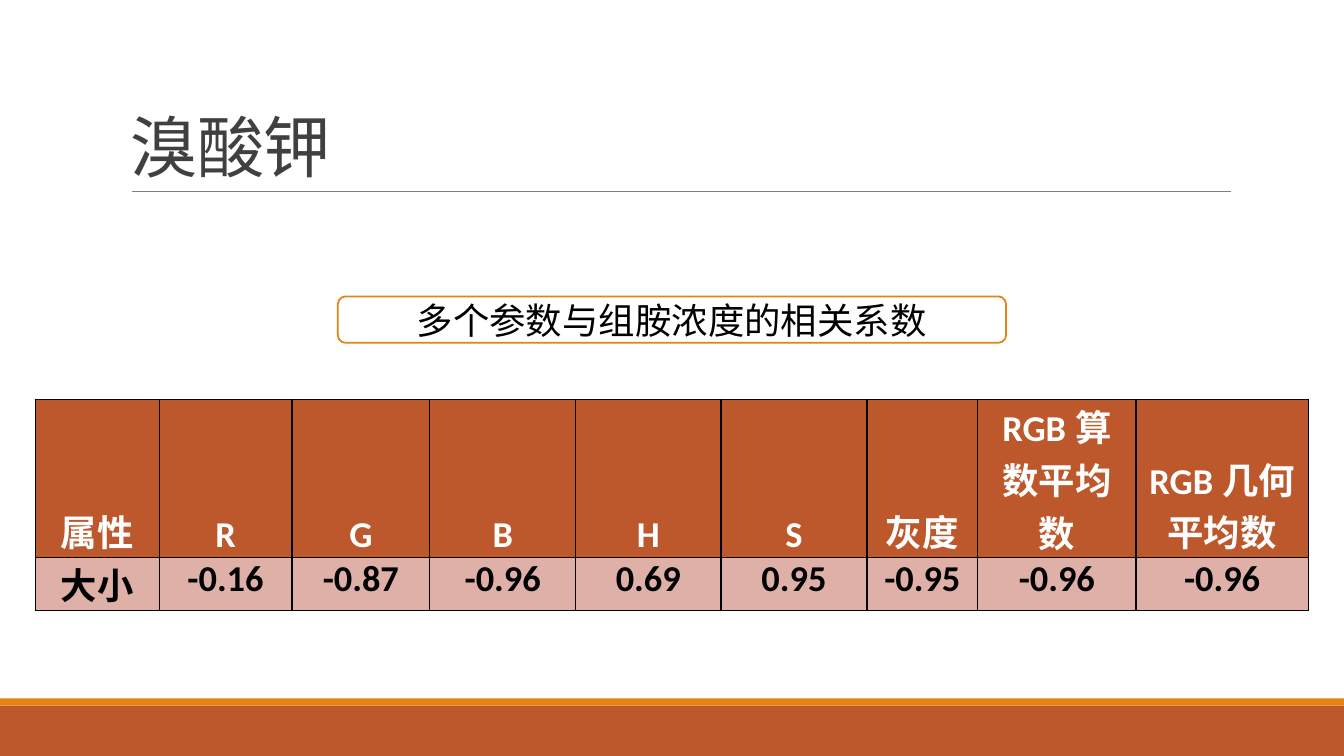
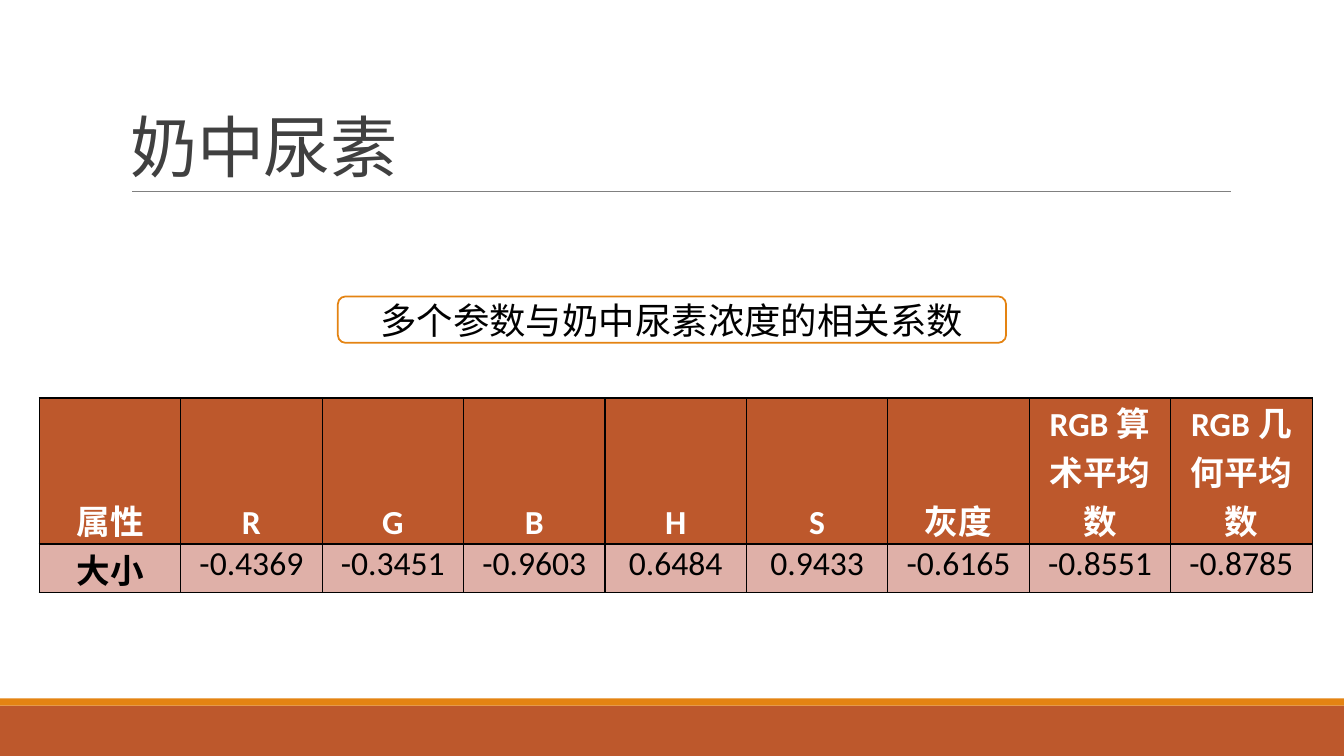
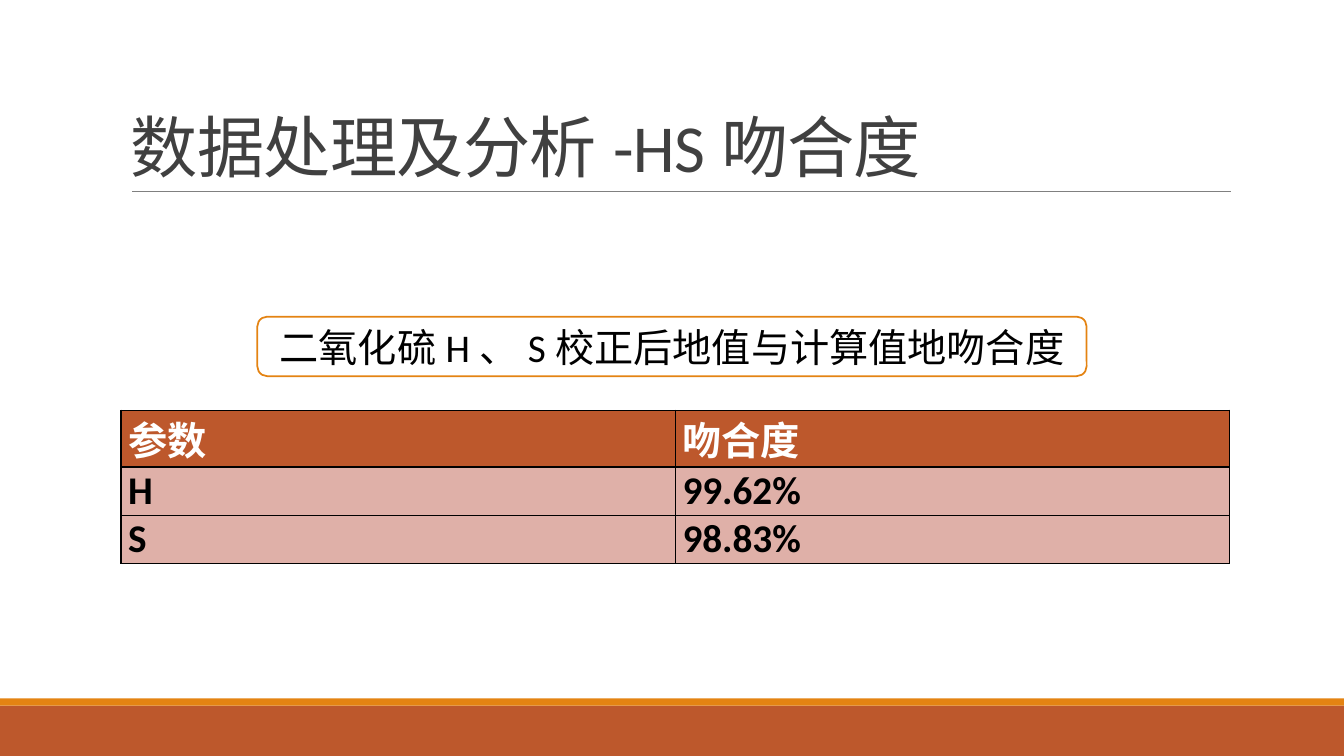
from lxml import etree
from pptx import Presentation
from pptx import util as u
from pptx.dml.color import RGBColor
from pptx.enum import shapes, text
from pptx.oxml import ns

WIDE, HIGH = 33.87, 19.05
RUST, GOLD, PINK = "BD582C", "E48312", "DFB0A8"
WHITE, BLACK, DARK, GREY = "FFFFFF", "000000", "404040", "808080"
LEFT, MID = text.PP_ALIGN.LEFT, text.PP_ALIGN.CENTER
TOP, LOW = text.MSO_ANCHOR.TOP, text.MSO_ANCHOR.BOTTOM
CENTER = text.MSO_ANCHOR.MIDDLE


def tint(code):
    return RGBColor.from_string(code)


def write(frame, words, size, color=BLACK, bold=False, align=LEFT,
          space=0, line=None, track=0):
    """Put one formatted paragraph in a text frame; track is in 1/100 pt."""
    frame.word_wrap = True
    para = frame.paragraphs[0]
    para.alignment = align
    para.space_before = para.space_after = u.Pt(space)
    if line:
        para.line_spacing = line
    run = para.add_run()
    run.text = words
    font = run.font
    font.name, font.size, font.bold = "Calibri", u.Pt(size), bold
    font.color.rgb = tint(color)
    prop = run._r.get_or_add_rPr()
    prop.set("lang", "zh-CN")
    if track:
        prop.set("spc", str(track))


def edge(cell, color=BLACK, width=1):
    """Draw all four borders of a table cell."""
    prop = cell._tc.get_or_add_tcPr()
    for side in ("lnL", "lnR", "lnT", "lnB"):
        line = etree.SubElement(prop, ns.qn("a:" + side), w=str(u.Pt(width)))
        fill = etree.SubElement(line, ns.qn("a:solidFill"))
        etree.SubElement(fill, ns.qn("a:srgbClr"), val=color)


class Deck:
    """Shared style and the slide being built; lengths are in cm."""

    def __init__(self):
        self.show = Presentation()
        self.show.slide_width = u.Cm(WIDE)
        self.show.slide_height = u.Cm(HIGH)
        self.page = None

    def start(self, title):
        """Add a slide with its bands, rule and title."""
        self.page = self.show.slides.add_slide(self.show.slide_layouts[6])
        self.box(0, 17.78, WIDE, 1.27, RUST)
        self.box(0, 17.6, WIDE, 0.18, GOLD)
        self.rule(3.33, 31.01, 4.83)
        self.title(title)

    def box(self, x, y, w, h, fill, line=None, kind="RECTANGLE"):
        shape = self.page.shapes.add_shape(
            getattr(shapes.MSO_SHAPE, kind), *map(u.Cm, (x, y, w, h)))
        shape.shadow.inherit = False
        shape.fill.solid()
        shape.fill.fore_color.rgb = tint(fill)
        if line:
            shape.line.color.rgb = tint(line)
            shape.line.width = u.Pt(1.25)
        else:
            shape.line.fill.background()
        return shape

    def rule(self, left, right, y):
        line = self.page.shapes.add_connector(
            shapes.MSO_CONNECTOR.STRAIGHT, *map(u.Cm, (left, y, right, y)))
        line.line.color.rgb = tint(GREY)
        line.line.width = u.Pt(0.5)
        etree.SubElement(line._element.spPr, ns.qn("a:effectLst"))

    def title(self, words):
        area = self.page.shapes.add_textbox(
            *map(u.Cm, (3.05, 0.79, 27.94, 4.04)))
        area.text_frame.vertical_anchor = LOW
        write(area.text_frame, words, 48, DARK, line=0.85, track=-50)

    def label(self, words, y, w, h, size):
        """Add a rounded caption centred across the slide."""
        shape = self.box((WIDE - w) / 2, y, w, h, WHITE, GOLD,
                         "ROUNDED_RECTANGLE")
        shape.text_frame.vertical_anchor = CENTER
        write(shape.text_frame, words, size, align=MID)

    def table(self, x, y, cols, rows, data, size, align=MID, bold=True):
        """Fill a grid; bold applies to values, as heads are always bold."""
        grid = self.page.shapes.add_table(
            len(rows), len(cols),
            *map(u.Cm, (x, y, sum(cols), sum(rows)))).table
        for col, w in zip(grid.columns, cols):
            col.width = u.Cm(w)
        for r, (row, h) in enumerate(zip(data, rows)):
            grid.rows[r].height = u.Cm(h)
            head = r == 0
            for c, words in enumerate(row):
                cell = grid.cell(r, c)
                edge(cell)
                cell.fill.solid()
                cell.fill.fore_color.rgb = tint(RUST if head else PINK)
                cell.margin_left = cell.margin_right = u.Cm(0.18)
                cell.margin_top = cell.margin_bottom = 0
                cell.vertical_anchor = LOW if head else TOP
                write(cell.text_frame, words, size,
                      WHITE if head else BLACK, head or c == 0 or bold,
                      align, space=1.8)


def main():
    deck = Deck()
    heads = ["属性", "R", "G", "B", "H", "S", "灰度"]

    deck.start("溴酸钾")
    deck.table(0.89, 10.06,
               [3.12, 3.35, 3.47, 3.68, 3.66, 3.68, 2.79, 3.99, 4.34],
               [3.98, 1.34],
               [heads + ["RGB算数平均数", "RGB几何平均数"],
                ["大小", "-0.16", "-0.87", "-0.96", "0.69", "0.95",
                 "-0.95", "-0.96", "-0.96"]], 26)
    deck.label("多个参数与组胺浓度的相关系数", 7.47, 16.84, 1.17, 26)

    deck.start("奶中尿素")
    deck.table(0.99, 10.03, [32.08 / 9] * 9, [3.68, 1.23],
               [heads + ["RGB算术平均数", "RGB几何平均数"],
                ["大小", "-0.4369", "-0.3451", "-0.9603", "0.6484",
                 "0.9433", "-0.6165", "-0.8551", "-0.8785"]], 24, bold=False)
    deck.label("多个参数与奶中尿素浓度的相关系数", 7.47, 16.84, 1.17, 26)

    deck.start("数据处理及分析-HS吻合度")
    deck.table(3.05, 10.34, [13.97] * 2, [1.43, 1.21, 1.21],
               [["参数", "吻合度"], ["H", "99.62%"], ["S", "98.83%"]],
               28, LEFT)
    deck.label("二氧化硫H、S校正后地值与计算值地吻合度", 7.98, 20.9, 1.5, 28)

    deck.show.save("out.pptx")


if __name__ == "__main__":
    main()
